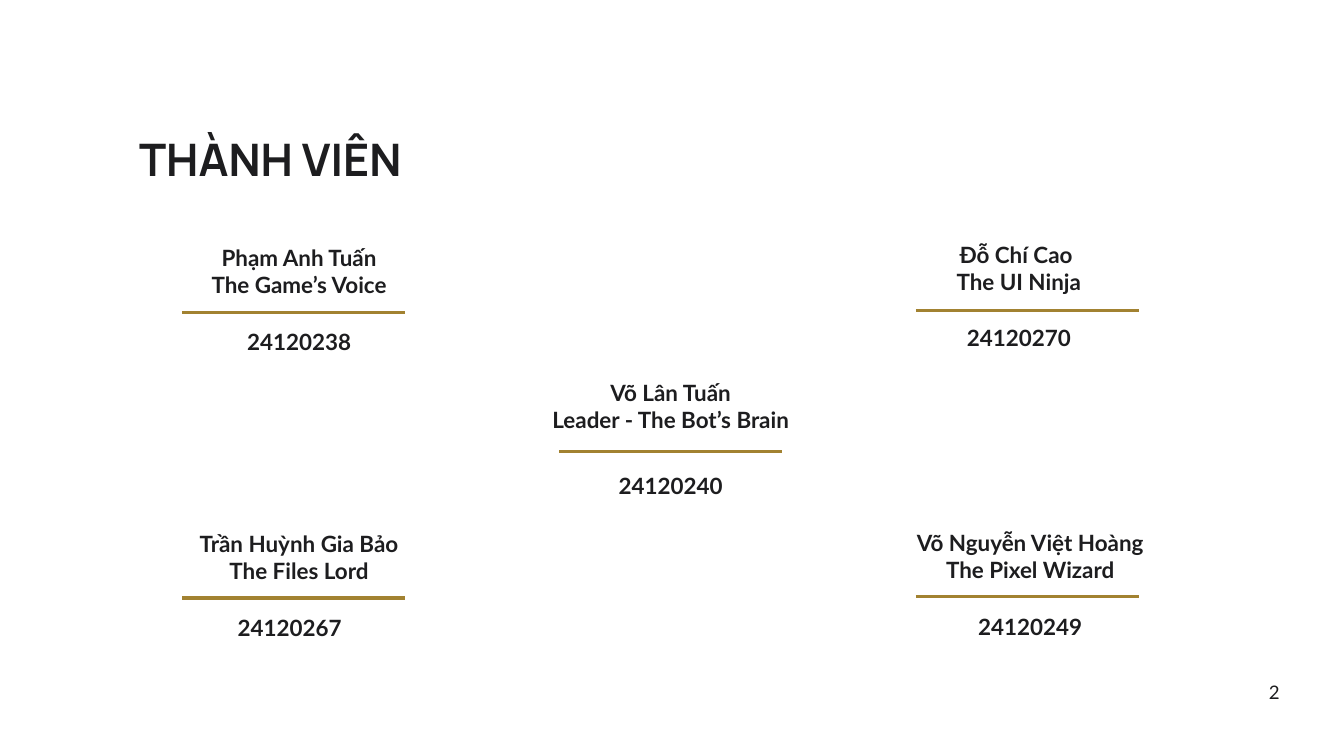
import pptx
import pptx.util
from lxml import etree
from pptx.dml.color import RGBColor
from pptx.enum.shapes import MSO_CONNECTOR
from pptx.enum.text import MSO_AUTO_SIZE, PP_ALIGN
from pptx.oxml.ns import qn

INK = RGBColor(0x1D, 0x1D, 0x1F)
GOLD = RGBColor(0xA2, 0x82, 0x31)
WHITE = RGBColor(0xFF, 0xFF, 0xFF)

SLIDE_WIDTH, SLIDE_HEIGHT = 20, 11.25
LEFT, CENTRE, RIGHT = 4.37, 9.98, 15.29  # middles of the three columns
RULE_WIDTH = 3.32
CARD_WIDTH = 4.48
LINE_HEIGHT = 0.39

# name, role, student number, column, rule height,
# name shift, name rise above the rule, number shift, number drop below it
MEMBERS = [
    ("Võ Lân Tuấn", "Leader - The Bot’s Brain", "24120240", CENTRE, 6.72, 0, 1.08, 0, 0.31),
    ("Phạm Anh Tuấn", "The Game’s Voice", "24120238", LEFT, 4.65, 0.08, 1.02, 0.08, 0.23),
    ("Trần Huỳnh Gia Bảo", "The Files Lord", "24120267", LEFT, 8.9, 0.08, 1.01, -0.06, 0.24),
    ("Đỗ Chí Cao ", "The UI Ninja", "24120270", RIGHT, 4.62, -0.13, 1.03, -0.13, 0.21),
    ("Võ Nguyễn Việt Hoàng", "The Pixel Wizard", "24120249", RIGHT, 8.88, 0.04, 1, 0.04, 0.25),
]


def add_text(slide, lines, left, top, width, height, *, size=24, font="Lato",
             bold=True, align=PP_ALIGN.CENTER, spacing=28.8, wrap=True):
    """Add a text box without margins, one paragraph for each line."""
    box = slide.shapes.add_textbox(*map(pptx.util.Inches, (left, top, width, height)))
    frame = box.text_frame
    frame.margin_left = frame.margin_top = frame.margin_right = frame.margin_bottom = 0
    frame.word_wrap = wrap
    frame.auto_size = MSO_AUTO_SIZE.SHAPE_TO_FIT_TEXT
    frame.text = "\n".join(lines)
    for paragraph in frame.paragraphs:
        paragraph.alignment = align
        paragraph.line_spacing = pptx.util.Pt(spacing)
        for run in paragraph.runs:
            run.font.name = font
            run.font.size = pptx.util.Pt(size)
            run.font.bold = bold
            run.font.color.rgb = INK


def add_rule(slide, middle, height):
    start, end = middle - RULE_WIDTH / 2, middle + RULE_WIDTH / 2
    rule = slide.shapes.add_connector(
        MSO_CONNECTOR.STRAIGHT, *map(pptx.util.Inches, (start, height, end, height)))
    rule.line.color.rgb = GOLD
    rule.line.width = pptx.util.Pt(3.75)
    etree.SubElement(rule._element.spPr, qn("a:effectLst"))


def add_member(slide, name, role, number, column, rule_height,
               name_shift, name_rise, number_shift, number_drop):
    card_left = column - CARD_WIDTH / 2
    add_rule(slide, column, rule_height)
    add_text(slide, [name, role], card_left + name_shift, rule_height - name_rise,
             CARD_WIDTH, 2 * LINE_HEIGHT)
    add_text(slide, [number], card_left + number_shift, rule_height + number_drop,
             CARD_WIDTH, LINE_HEIGHT)


def main():
    deck = pptx.Presentation()
    deck.slide_width = pptx.util.Inches(SLIDE_WIDTH)
    deck.slide_height = pptx.util.Inches(SLIDE_HEIGHT)
    slide = deck.slides.add_slide(deck.slide_layouts[6])
    slide.background.fill.solid()
    slide.background.fill.fore_color.rgb = WHITE

    add_text(slide, ["THÀNH VIÊN"], 2.07, 1.83, 7.9, 0.9, size=48, font="Manrope",
             align=PP_ALIGN.LEFT, spacing=67.2)
    for member in MEMBERS:
        add_member(slide, *member)
    add_text(slide, ["2"], 18.88, 10.07, 0.17, 0.22, size=20, bold=False,
             spacing=28, wrap=False)
    deck.save("out.pptx")


if __name__ == "__main__":
    main()
